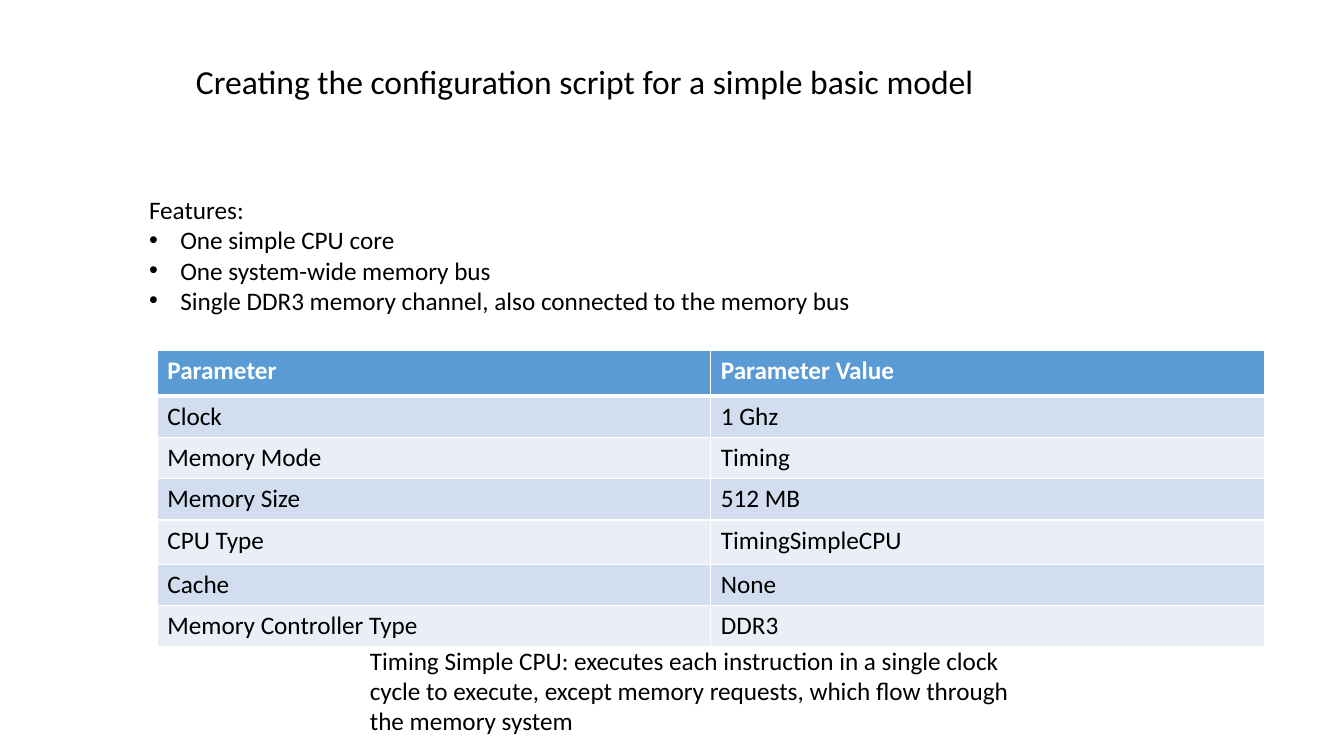
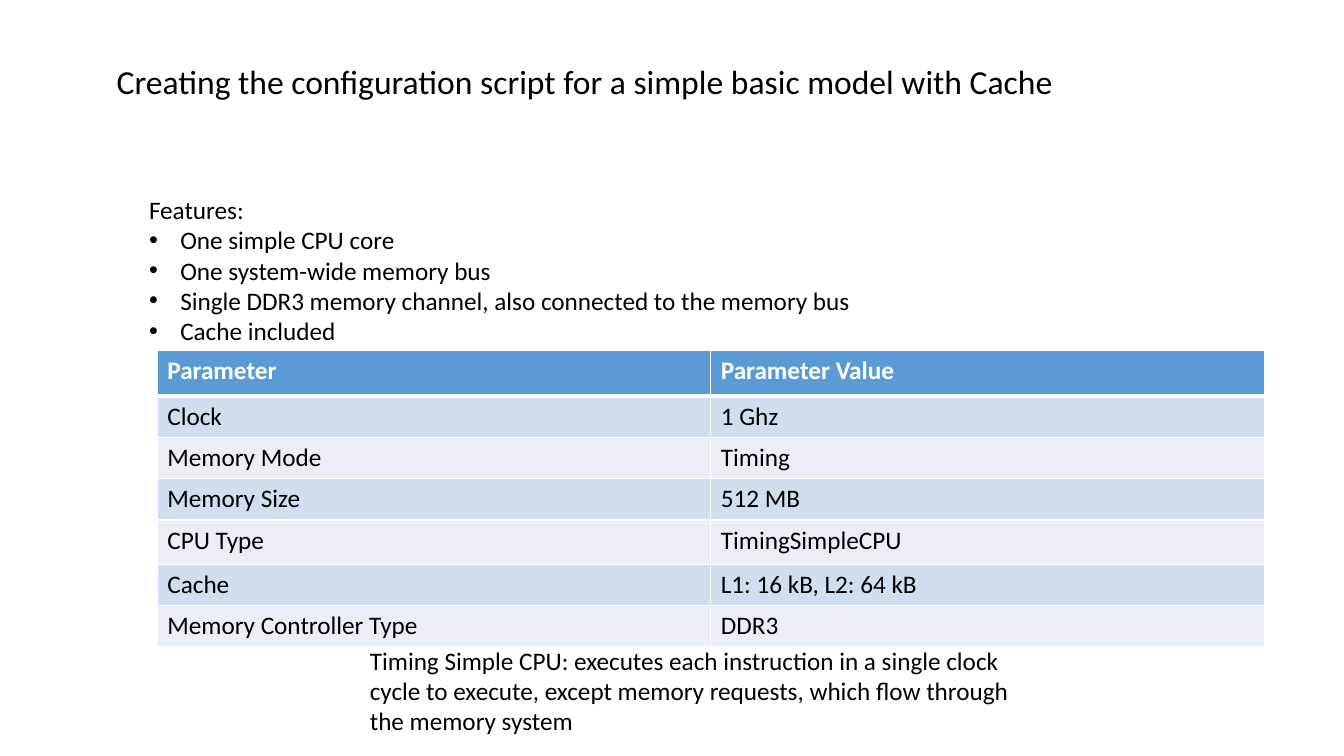
import pptx
import pptx.util
import pptx.dml.color
import pptx.enum.text
import pptx.oxml.ns
import lxml.etree

Inches, Pt = pptx.util.Inches, pptx.util.Pt
ENUM = pptx.enum.text

# Content
TITLE = "Creating the configuration script for a simple basic model"
POINTS = [
    "One simple CPU core",
    "One system-wide memory bus",
    "Single DDR3 memory channel, also connected to the memory bus",
]
NOTE = ("Timing Simple CPU: executes each instruction in a single clock cycle "
        "to execute, except memory requests, which flow through the memory system")
SLIDES = [
    {"title": TITLE, "points": POINTS, "cache": "None"},
    {"title": TITLE + " with Cache", "points": POINTS + ["Cache included"],
     "cache": "L1: 16 kB, L2: 64 kB"},
]


def params(cache):
    return [
        ("Parameter", "Parameter Value"),
        ("Clock", "1 Ghz"),
        ("Memory Mode", "Timing"),
        ("Memory Size", "512 MB"),
        ("CPU Type", "TimingSimpleCPU"),
        ("Cache", cache),
        ("Memory Controller Type", "DDR3"),
    ]


# Shared style
COLORS = {"text": "000000", "white": "FFFFFF", "head": "5B9BD5",
          "odd": "D2DEEF", "even": "EAEFF7"}
FONT = "Calibri"
BODY, HEAD = 18, 24
LINE = 0.3
INDENT = 0.31
ROWS = [0.45, 0.41, 0.41, 0.41, 0.44, 0.41, 0.41]
COL = 5.49


def color(name):
    return pptx.dml.color.RGBColor.from_string(COLORS[name])


def style(frame, size=BODY, tint="text", bold=False):
    for para in frame.paragraphs:
        for run in para.runs:
            run.font.name, run.font.size = FONT, Pt(size)
            run.font.bold = bold
            run.font.color.rgb = color(tint)


def node(parent, tag, **attrs):
    item = lxml.etree.SubElement(parent, pptx.oxml.ns.qn(tag))
    for key, value in attrs.items():
        item.set(key, str(value))
    return item


def add_text(slide, lines, left, top, width, height, size=BODY):
    frame = slide.shapes.add_textbox(*map(Inches, (left, top, width, height))).text_frame
    frame.word_wrap = True
    frame.text = "\n".join(lines)
    style(frame, size)
    return frame


def add_title(slide, text):
    frame = add_text(slide, [text], 0.8, 0.42, 10, 0.64, HEAD)
    frame.vertical_anchor = ENUM.MSO_ANCHOR.BOTTOM
    frame.paragraphs[0].alignment = ENUM.PP_ALIGN.CENTER
    frame.paragraphs[0].line_spacing = 0.9


def add_list(slide, points):
    lines = ["Features:"] + points
    frame = add_text(slide, lines, 1.38, 1.88, 9.54, 0.1 + LINE * len(lines))
    for para in frame.paragraphs[1:]:
        props = para._p.get_or_add_pPr()
        props.set("marL", str(Inches(INDENT)))
        props.set("indent", str(-Inches(INDENT)))
        node(props, "a:buFont", typeface="Arial")
        node(props, "a:buChar", char="•")


def add_edges(cell, row):
    # A thick rule parts the header from the body
    widths = {"L": 1, "R": 1, "T": 3 if row == 1 else 1, "B": 3 if row == 0 else 1}
    props = cell._tc.get_or_add_tcPr()
    for side, width in widths.items():
        line = node(props, "a:ln" + side, w=Pt(width))
        node(node(line, "a:solidFill"), "a:srgbClr", val=COLORS["white"])


def add_grid(slide, data):
    table = slide.shapes.add_table(
        len(data), 2, Inches(1.56), Inches(3.48),
        Inches(2 * COL), Inches(sum(ROWS))).table
    for col in table.columns:
        col.width = Inches(COL)
    for r, texts in enumerate(data):
        table.rows[r].height = Inches(ROWS[r])
        fill = "head" if r == 0 else "odd" if r % 2 else "even"
        for c, text in enumerate(texts):
            cell = table.cell(r, c)
            cell.text_frame.text = text
            style(cell.text_frame, tint="text" if r else "white", bold=r == 0)
            add_edges(cell, r)
            cell.fill.solid()
            cell.fill.fore_color.rgb = color(fill)


# Build the slides
deck = pptx.Presentation()
deck.slide_width, deck.slide_height = Inches(13.33), Inches(7.5)
for page in SLIDES:
    slide = deck.slides.add_slide(deck.slide_layouts[6])
    add_title(slide, page["title"])
    add_list(slide, page["points"])
    add_grid(slide, params(page["cache"]))
    add_text(slide, [NOTE], 3.57, 6.35, 6.67, 1.01)
deck.save("out.pptx")
